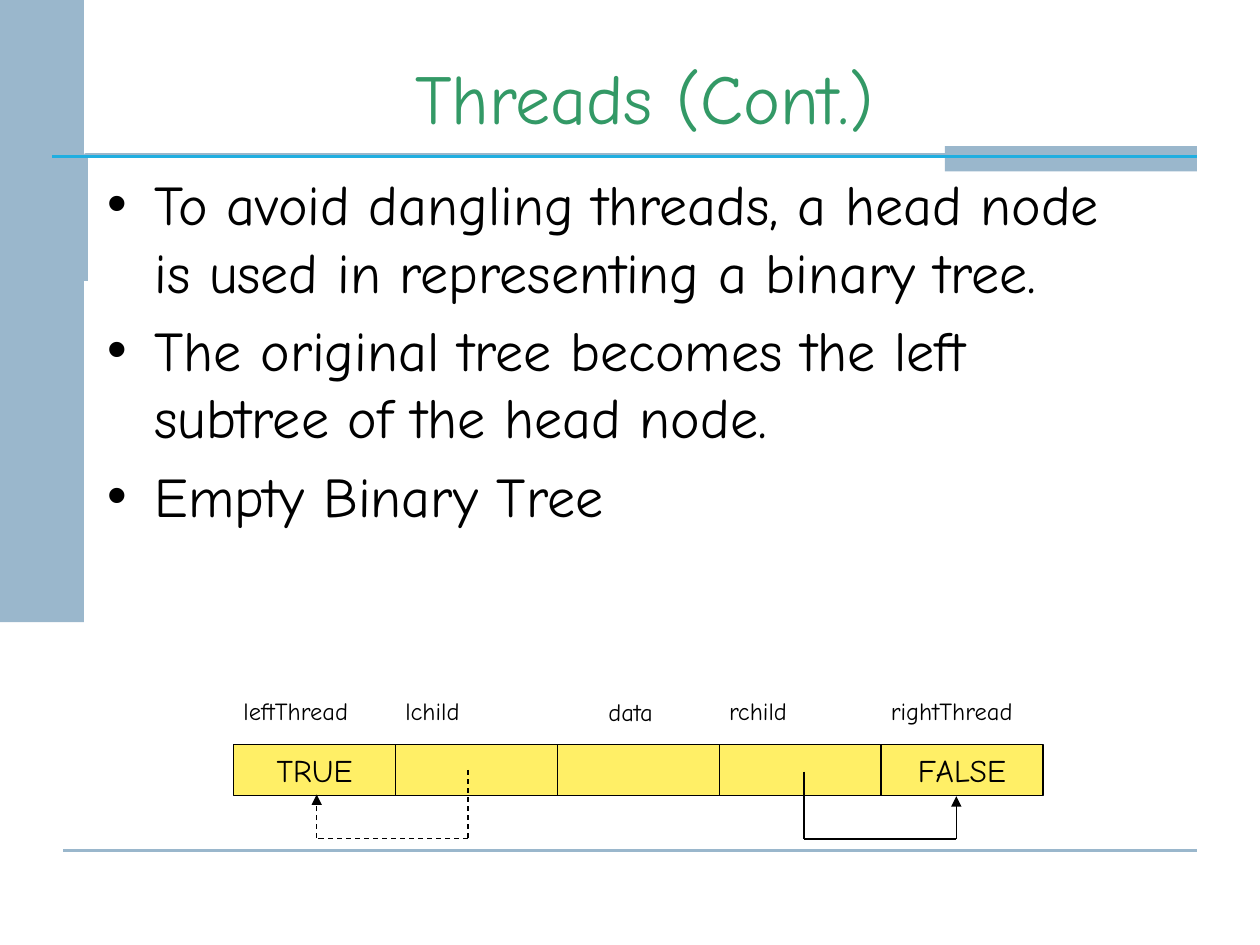
import pptx
import pptx.util
import pptx.dml.color
import pptx.enum.dml
import pptx.enum.shapes
import pptx.enum.text
from lxml import etree

Pt = pptx.util.Pt
ALIGN = pptx.enum.text.PP_ALIGN
ANCHOR = pptx.enum.text.MSO_ANCHOR
RECT = pptx.enum.shapes.MSO_SHAPE.RECTANGLE
FONT = "Comic Neue"
BLUE = "9AB7CC"


def color(value):
    return pptx.dml.color.RGBColor.from_string(value)


def line(x1, y1, x2, y2, stroke="000000", width=0.75, dashed=False, arrow=False):
    s = slide.shapes.add_connector(
        pptx.enum.shapes.MSO_CONNECTOR.STRAIGHT, Pt(x1), Pt(y1), Pt(x2), Pt(y2))
    s.line.color.rgb = color(stroke)
    s.line.width = Pt(width)
    if dashed:
        s.line.dash_style = pptx.enum.dml.MSO_LINE.DASH
    if arrow:
        tail = etree.SubElement(s.line._get_or_add_ln(), pptx.oxml.ns.qn("a:tailEnd"))
        tail.set("type", "triangle")
    etree.SubElement(s._element.spPr, pptx.oxml.ns.qn("a:effectLst"))


prs = pptx.Presentation()
prs.slide_width, prs.slide_height = Pt(720), Pt(540)
slide = prs.slides.add_slide(prs.slide_layouts[1])

# Frame: corner line, side and top bars, rules
builder = slide.shapes.build_freeform(Pt(49), Pt(160.5))
builder.add_line_segments([(Pt(49), Pt(88.5)), (Pt(673), Pt(88.5))], close=False)
s = builder.convert_to_shape()
s.shadow.inherit = False
s.fill.background()
s.line.color.rgb = color(BLUE)
s.line.width = Pt(2)

line(36, 486, 684, 486, BLUE, 1.5)
for x, y, w, h in [(0, 0, 48, 355.5), (540, 83.5, 144, 14.5)]:
    s = slide.shapes.add_shape(RECT, Pt(x), Pt(y), Pt(w), Pt(h))
    s.shadow.inherit = False
    s.fill.solid()
    s.fill.fore_color.rgb = color(BLUE)
    s.line.fill.background()
line(30, 89.5, 684, 89.5, "20AEE0", 1.5)

# Title
s = slide.shapes.title
s.left, s.top, s.width, s.height = Pt(54), Pt(27), Pt(628.5), Pt(55.5)
tf = s.text_frame
tf.text = "Threads (Cont.)"
tf.auto_size = pptx.enum.text.MSO_AUTO_SIZE.NONE
tf.vertical_anchor = ANCHOR.BOTTOM
p = tf.paragraphs[0]
p.alignment = ALIGN.CENTER
p.font.name, p.font.size = FONT, Pt(40)
p.font.color.rgb = color("339966")

# Bullet list
s = slide.placeholders[1]
s.left, s.top, s.width, s.height = Pt(54), Pt(93.5), Pt(606), Pt(374.5)
tf = s.text_frame
tf.text = "\n".join([
    "To avoid dangling threads, a head node is used in representing a binary tree.",
    "The original tree becomes the left subtree of the head node.",
    "Empty Binary Tree",
])
tf.auto_size = pptx.enum.text.MSO_AUTO_SIZE.NONE
for p in tf.paragraphs:
    p.font.name, p.font.size = FONT, Pt(32)
    p.font.color.rgb = color("000000")

# Head node: five equal cells
CELL_LEFT, CELL_TOP, CELL_W, CELL_H = 133.5, 425.5, 92.5, 29
for i, value in enumerate(["TRUE", "", "", "", "FALSE"]):
    s = slide.shapes.add_shape(
        RECT, Pt(CELL_LEFT + i * CELL_W), Pt(CELL_TOP), Pt(CELL_W), Pt(CELL_H))
    s.shadow.inherit = False
    s.fill.solid()
    s.fill.fore_color.rgb = color("FFEF66")
    s.line.color.rgb = color("000000")
    s.line.width = Pt(0.75)
    if value:
        tf = s.text_frame
        tf.text = value
        tf.word_wrap = False
        tf.vertical_anchor = ANCHOR.MIDDLE
        p = tf.paragraphs[0]
        p.alignment = ALIGN.CENTER
        p.font.name, p.font.size = FONT, Pt(18)
        p.font.color.rgb = color("000000")

# Field names above the cells
for name, x, y, w in [
    ("leftThread", 132, 394, 95),
    ("lchild", 224.5, 394, 95),
    ("data", 340.5, 394.5, 48),
    ("rchild", 409.5, 394, 95),
    ("rightThread", 502, 394, 105),
]:
    s = slide.shapes.add_textbox(Pt(x), Pt(y), Pt(w), Pt(24))
    tf = s.text_frame
    tf.text = name
    tf.word_wrap = True
    p = tf.paragraphs[0]
    p.font.name, p.font.size = FONT, Pt(14)
    p.font.color.rgb = color("000000")

# Links from the child fields to the thread flags
for x1, x2, top, bottom, tip, dashed in [
    (267.5, 181, 440, 479, 454, True),
    (459.5, 546.5, 441, 479.5, 455, False),
]:
    line(x1, top, x1, bottom, dashed=dashed)
    line(x1, bottom, x2, bottom, dashed=dashed)
    line(x2, bottom, x2, tip, dashed=dashed, arrow=True)

prs.save("out.pptx")
